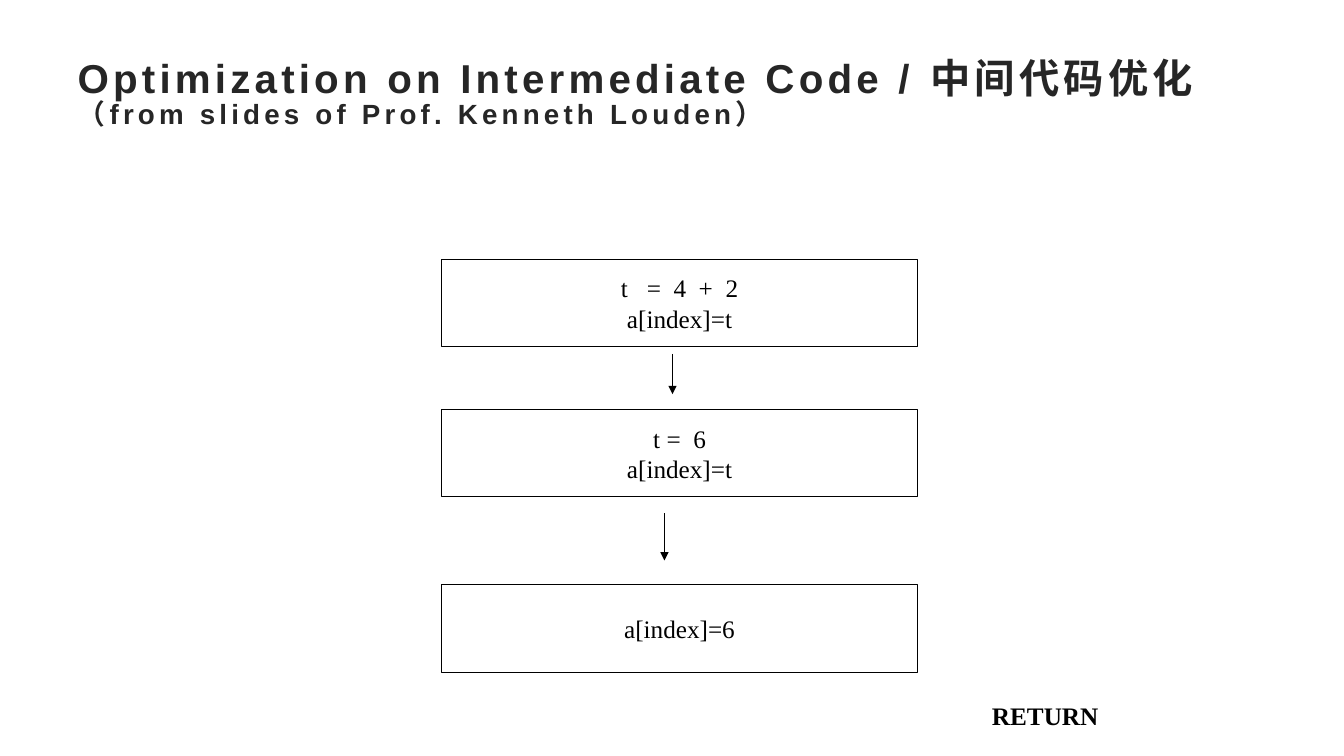
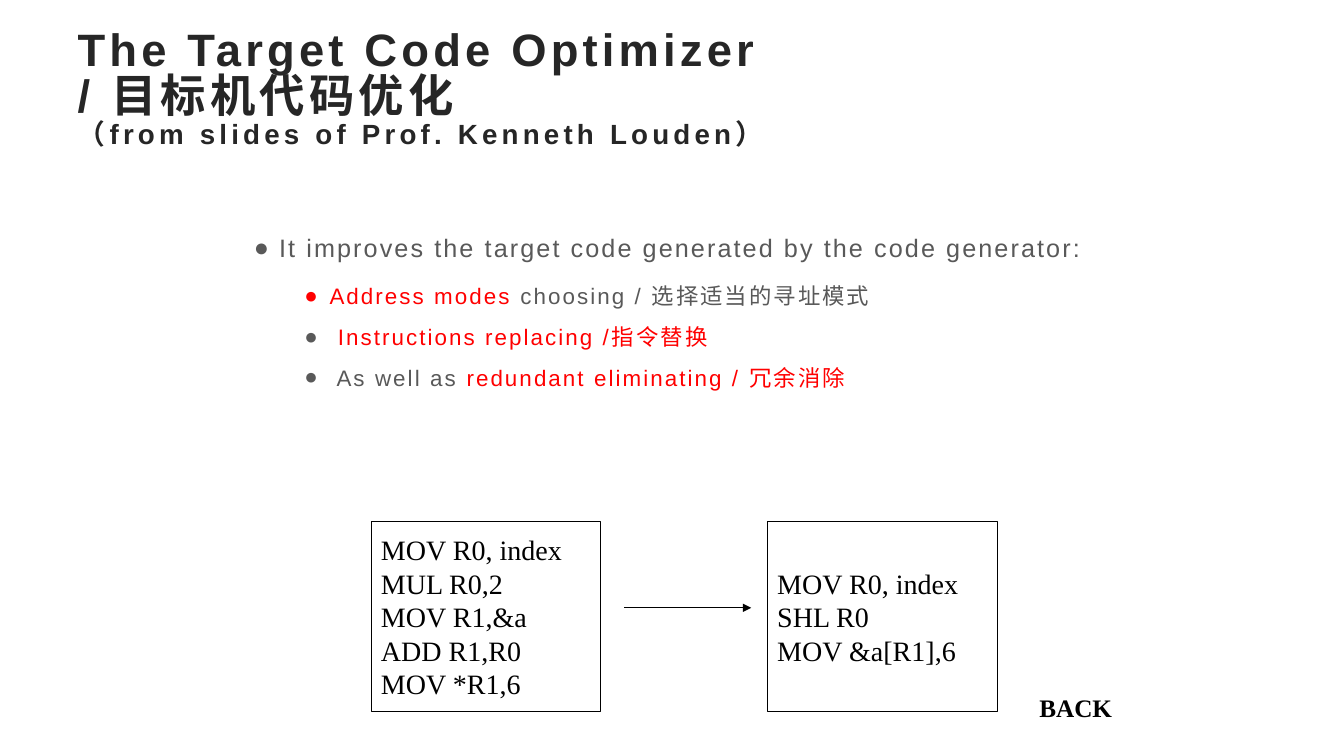
from lxml import etree
from pptx import Presentation
from pptx.dml.color import RGBColor
from pptx.enum import shapes, text
from pptx.oxml import ns
from pptx.util import Inches, Pt

BLACK = RGBColor(0x00, 0x00, 0x00)
WHITE = RGBColor(0xFF, 0xFF, 0xFF)
DARK = RGBColor(0x26, 0x26, 0x26)
GREY = RGBColor(0x59, 0x59, 0x59)
RED = RGBColor(0xFF, 0x00, 0x00)
SANS, SERIF = "Arial", "Times New Roman"
SOURCE = "（from slides of Prof. Kenneth Louden）"


class Deck:
    """Holds the shared style and the current slide."""

    def __init__(self):
        self.prs = Presentation()
        self.prs.slide_width, self.prs.slide_height = Inches(13.33), Inches(7.5)
        self.s = None

    def add_run(self, p, words, size, color, font=SERIF, bold=False, spacing=0):
        r = p.add_run()
        r.text = words
        r.font.size, r.font.name, r.font.bold = Pt(size), font, bold
        r.font.color.rgb = color
        if spacing:
            r.font._element.set("spc", str(int(spacing * 100)))

    def slide(self, lines, size, top, height):
        """Start a slide with a title and the source line below it."""
        self.s = self.prs.slides.add_slide(self.prs.slide_layouts[5])
        sp = self.s.shapes.title
        sp.left, sp.top = Inches(0.67), Inches(top)
        sp.width, sp.height = Inches(12), Inches(height)
        tf = sp.text_frame
        tf.auto_size = text.MSO_AUTO_SIZE.NONE
        tf.vertical_anchor = text.MSO_ANCHOR.MIDDLE
        p = tf.paragraphs[0]
        p.alignment, p.line_spacing = text.PP_ALIGN.LEFT, 0.85
        for line in lines:
            self.add_run(p, line, size, DARK, SANS, True, 3)
            p.add_line_break()
        self.add_run(p, SOURCE, 19.8, DARK, SANS, True, 3)

    def text_box(self, left, top, width, height):
        sp = self.s.shapes.add_textbox(
            Inches(left), Inches(top), Inches(width), Inches(height))
        sp.text_frame.word_wrap = True
        return sp.text_frame

    def label(self, words, left, top, width):
        tf = self.text_box(left, top, width, 0.4)
        self.add_run(tf.paragraphs[0], words, 18, BLACK, bold=True)

    def code_box(self, lines, left, top, width, height, size, align):
        sp = self.s.shapes.add_shape(
            shapes.MSO_SHAPE.RECTANGLE,
            Inches(left), Inches(top), Inches(width), Inches(height))
        sp.shadow.inherit = False
        sp.fill.solid()
        sp.fill.fore_color.rgb = WHITE
        sp.line.color.rgb, sp.line.width = BLACK, Pt(0.75)
        tf = sp.text_frame
        tf.word_wrap = True
        tf.vertical_anchor = text.MSO_ANCHOR.MIDDLE
        for i, line in enumerate(lines):
            p = tf.add_paragraph() if i else tf.paragraphs[0]
            p.alignment = align
            self.add_run(p, line, size, BLACK)

    def arrow(self, x1, y1, x2, y2):
        cn = self.s.shapes.add_connector(
            shapes.MSO_CONNECTOR.STRAIGHT,
            Inches(x1), Inches(y1), Inches(x2), Inches(y2))
        cn.line.color.rgb, cn.line.width = BLACK, Pt(0.75)
        ln = cn.line._get_or_add_ln()
        etree.SubElement(ln, ns.qn("a:tailEnd"), type="triangle")
        etree.SubElement(cn._element.spPr, ns.qn("a:effectLst"))

    def bullets(self, items, left, top, width, height):
        """Each item is a level and its (words, colour) runs."""
        tf = self.text_box(left, top, width, height)
        for i, (level, runs) in enumerate(items):
            p = tf.add_paragraph() if i else tf.paragraphs[0]
            pPr = p._p.get_or_add_pPr()
            pPr.set("marL", str(Inches(0.25 + 0.5 * level)))
            pPr.set("indent", str(Inches(-0.25)))
            etree.SubElement(pPr, ns.qn("a:buFont"), typeface=SANS)
            etree.SubElement(pPr, ns.qn("a:buChar"), char="●")
            p.level = level
            p.line_spacing = 1.2 if level else 1.3
            p.space_after = Pt(6 if level else 10)
            for words, color in runs:
                self.add_run(p, words, 16 if level else 18, color, SANS, spacing=1.5)


def main():
    deck = Deck()

    # Intermediate code: three steps, top to bottom
    deck.slide(["Optimization on Intermediate Code / 中间代码优化"], 28.8, 0.46, 0.98)
    steps = [
        (2.57, ["t   =  4  +  2", "a[index]=t"]),
        (4.06, ["t =  6", "a[index]=t"]),
        (5.8, ["a[index]=6"]),
    ]
    for top, lines in steps:
        deck.code_box(lines, 4.38, top, 4.72, 0.87, 18, text.PP_ALIGN.CENTER)
    deck.arrow(6.67, 3.51, 6.67, 3.91)
    deck.arrow(6.59, 5.09, 6.59, 5.56)
    deck.label("RETURN", 9.74, 6.9, 1.81)

    # Target code: techniques, then code before and after
    deck.slide(["The Target Code Optimizer", "/ 目标机代码优化"], 32.4, 0.34, 1.1)
    deck.bullets([
        (0, [("It improves the target code generated by the code generator:", GREY)]),
        (1, [("Address modes", RED), (" choosing / 选择适当的寻址模式", GREY)]),
        (1, [(" ", GREY), ("Instructions replacing /指令替换", RED)]),
        (1, [(" As well as ", GREY), ("redundant eliminating / 冗余消除", RED)]),
    ], 2.42, 2.17, 8.5, 2.92)
    before = ["MOV R0, index", "MUL R0,2", "MOV R1,&a", "ADD R1,R0", "MOV *R1,6"]
    after = ["MOV R0, index", "SHL R0", "MOV &a[R1],6"]
    for left, lines in ((3.68, before), (7.61, after)):
        deck.code_box(lines, left, 5.17, 2.28, 1.89, 20, text.PP_ALIGN.LEFT)
    deck.arrow(6.19, 6.03, 7.45, 6.03)
    deck.label("BACK", 10.21, 6.82, 1.26)

    deck.prs.save("out.pptx")


if __name__ == "__main__":
    main()
